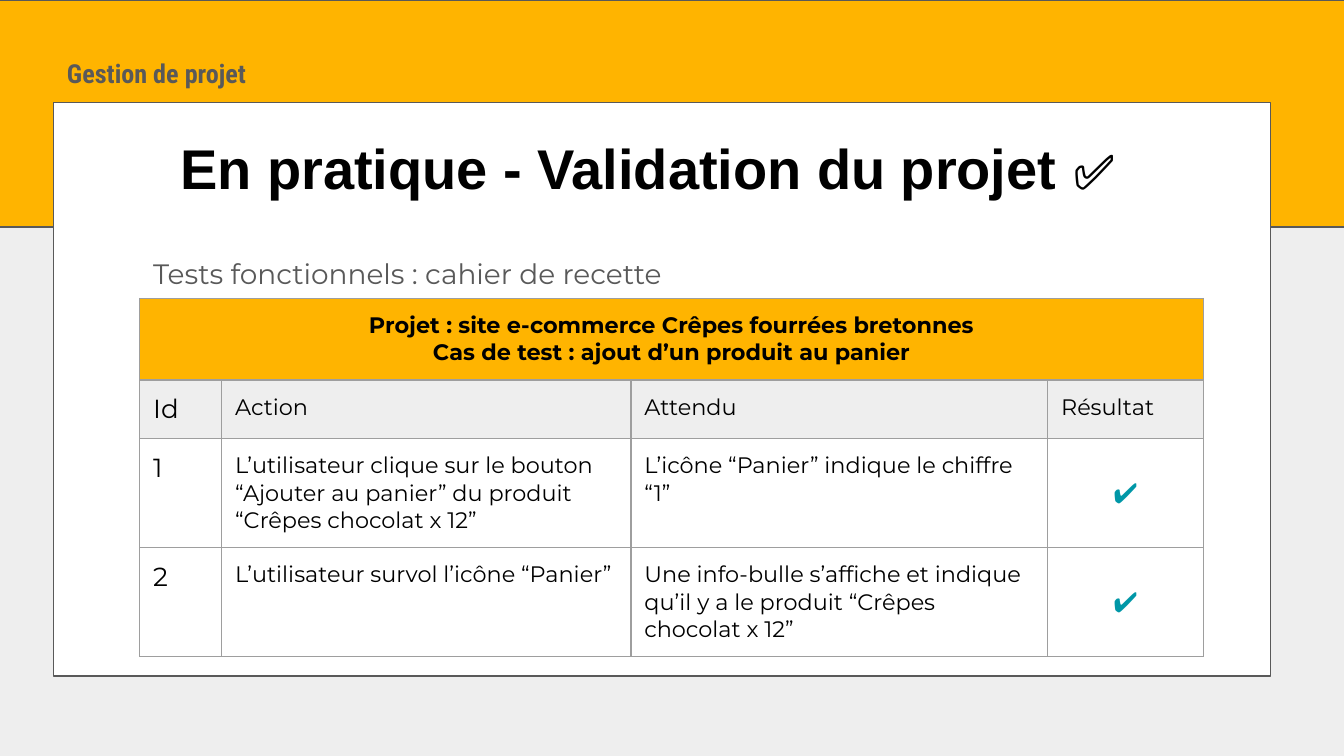
import dataclasses

import pptx
import pptx.dml.color
import pptx.enum.shapes
import pptx.enum.text
import pptx.oxml
import pptx.oxml.ns
import pptx.util

PX = 4572
MARGIN = 20 * PX
ALIGN = pptx.enum.text.PP_ALIGN
ANCHOR = pptx.enum.text.MSO_ANCHOR


@dataclasses.dataclass(frozen=True)
class Theme:
    """Hold the colours, fonts and type sizes of the slide."""
    accent: str = "FFB400"
    surface: str = "FFFFFF"
    background: str = "EEEEEE"
    ink: str = "000000"
    muted: str = "595959"
    grid: str = "9E9E9E"
    check: str = "0097A7"
    heading_font: str = "Arial"
    body_font: str = "Montserrat"
    label_font: str = "Roboto Condensed"
    title_size: int = 30
    title_mark_size: int = 26
    subtitle_size: int = 15
    label_size: int = 14
    cell_size: int = 12
    check_size: int = 15
    rule: float = 0.75


THEME = Theme()
HEADING = ("Projet : site e-commerce Crêpes fourrées bretonnes\n"
           "Cas de test : ajout d’un produit au panier")
COLUMN_NAMES = ("Id", "Action", "Attendu", "Résultat")
TESTS = (
    ("1", "L’utilisateur clique sur le bouton “Ajouter au panier” du produit “Crêpes chocolat x 12”",
     "L’icône “Panier” indique le chiffre “1”", "✔"),
    ("2", "L’utilisateur survol l’icône “Panier”",
     "Une info-bulle s’affiche et indique qu’il y a le produit “Crêpes chocolat x 12”", "✔"),
)


def rgb(color):
    """Turn a hexadecimal string into a colour."""
    return pptx.dml.color.RGBColor.from_string(color)


def place(shape, left, top, width, height):
    """Bring a placeholder to the front and give it its box in px."""
    shape.element.getparent().append(shape.element)
    shape.left, shape.top = left * PX, top * PX
    shape.width, shape.height = width * PX, height * PX


def format_text(text_frame, font_name, size, color, bold=False, align=ALIGN.LEFT):
    """Format every run of a text frame alike."""
    for paragraph in text_frame.paragraphs:
        paragraph.alignment = align
        for run in paragraph.runs:
            run.font.name = font_name
            run.font.size = pptx.util.Pt(size)
            run.font.bold = bold
            run.font.color.rgb = rgb(color)


def set_frame(text_frame):
    """Wrap a text frame and give it even margins."""
    text_frame.word_wrap = True
    text_frame.auto_size = pptx.enum.text.MSO_AUTO_SIZE.NONE
    text_frame.vertical_anchor = ANCHOR.TOP
    text_frame.margin_left = text_frame.margin_right = MARGIN
    text_frame.margin_top = text_frame.margin_bottom = MARGIN


def add_panel(slide, left, top, width, height, color):
    """Add an outlined rectangle."""
    panel = slide.shapes.add_shape(
        pptx.enum.shapes.MSO_SHAPE.RECTANGLE, left * PX, top * PX, width * PX, height * PX)
    panel.shadow.inherit = False
    panel.fill.solid()
    panel.fill.fore_color.rgb = rgb(color)
    panel.line.color.rgb = rgb(THEME.muted)
    panel.line.width = pptx.util.Pt(THEME.rule)


def add_label(slide, left, top, width, height):
    """Add the course label."""
    label = slide.shapes.add_textbox(left * PX, top * PX, width * PX, height * PX)
    set_frame(label.text_frame)
    label.text_frame.text = "Gestion de projet"
    format_text(label.text_frame, THEME.label_font, THEME.label_size, THEME.muted, True)


def add_title(slide, left, top, width, height):
    """Fill and place the title placeholder."""
    title = slide.shapes.title
    place(title, left, top, width, height)
    set_frame(title.text_frame)
    title.text_frame.text = "En pratique - Validation du projet "
    mark = title.text_frame.paragraphs[0].add_run()
    mark.text = "✅"
    format_text(title.text_frame, THEME.heading_font, THEME.title_size, THEME.ink, True, ALIGN.CENTER)
    mark.font.size = pptx.util.Pt(THEME.title_mark_size)


def add_subtitle(slide, left, top, width, height):
    """Fill and place the body placeholder."""
    body = slide.placeholders[1]
    place(body, left, top, width, height)
    set_frame(body.text_frame)
    body.text_frame.text = "Tests fonctionnels : cahier de recette"
    paragraph = body.text_frame.paragraphs[0]
    paragraph.line_spacing = 1.15
    paragraph.space_before = pptx.util.Pt(0)
    paragraph.space_after = pptx.util.Pt(12)
    properties = paragraph._p.get_or_add_pPr()
    properties.set("marL", "0")
    properties.set("indent", "0")
    properties.append(pptx.oxml.parse_xml(f'<a:buNone {pptx.oxml.ns.nsdecls("a")}/>'))
    format_text(body.text_frame, THEME.body_font, THEME.subtitle_size, THEME.muted)


def add_borders(cell):
    """Draw the four borders of a cell."""
    properties = cell._tc.get_or_add_tcPr()
    for side in "LRTB":
        properties.append(pptx.oxml.parse_xml(
            f'<a:ln{side} {pptx.oxml.ns.nsdecls("a")} w="{pptx.util.Pt(THEME.rule)}">'
            f'<a:solidFill><a:srgbClr val="{THEME.grid}"/></a:solidFill></a:ln{side}>'))


def style_cell(cell, fill, size=THEME.cell_size, color=THEME.ink, bold=False,
               align=ALIGN.LEFT, anchor=ANCHOR.TOP):
    """Give a cell its borders, fill, margins and type."""
    add_borders(cell)
    if fill:
        cell.fill.solid()
        cell.fill.fore_color.rgb = rgb(fill)
    else:
        cell.fill.background()
    cell.margin_left = cell.margin_right = cell.margin_top = cell.margin_bottom = MARGIN
    cell.vertical_anchor = anchor
    format_text(cell.text_frame, THEME.body_font, size, color, bold, align)


def add_test_table(slide, left, top, column_widths, row_heights):
    """Add the table of functional tests."""
    table = slide.shapes.add_table(
        len(row_heights), len(column_widths), left * PX, top * PX,
        sum(column_widths) * PX, sum(row_heights) * PX).table
    for column, width in zip(table.columns, column_widths):
        column.width = width * PX
    for row, height in zip(table.rows, row_heights):
        row.height = height * PX
    table.cell(0, 0).merge(table.cell(0, len(column_widths) - 1))
    table.cell(0, 0).text_frame.text = HEADING
    for cell in table.rows[0].cells:
        style_cell(cell, THEME.accent, bold=True, align=ALIGN.CENTER)
    for row_index, texts in enumerate((COLUMN_NAMES, *TESTS), start=1):
        fill = THEME.background if row_index == 1 else None
        for column_index, text in enumerate(texts):
            cell = table.cell(row_index, column_index)
            cell.text_frame.text = text
            if text == "✔":
                style_cell(cell, fill, THEME.check_size, THEME.check, False, ALIGN.CENTER, ANCHOR.MIDDLE)
            else:
                style_cell(cell, fill, THEME.cell_size if column_index else THEME.label_size)


def main():
    """Build and save the slide."""
    presentation = pptx.Presentation()
    presentation.slide_width, presentation.slide_height = 2000 * PX, 1125 * PX
    slide = presentation.slides.add_slide(presentation.slide_layouts[1])
    slide.background.fill.solid()
    slide.background.fill.fore_color.rgb = rgb(THEME.background)
    add_panel(slide, -2, 0, 2004, 338, THEME.accent)
    add_panel(slide, 80, 153, 1811, 853, THEME.surface)
    add_label(slide, 80, 65, 598, 88)
    add_subtitle(slide, 208, 354, 1554, 412)
    add_title(slide, 166, 179, 1596, 142)
    add_test_table(slide, 208, 444, (122, 609, 620, 232), (84, 84, 84, 22))
    presentation.save("out.pptx")


if __name__ == "__main__":
    main()
